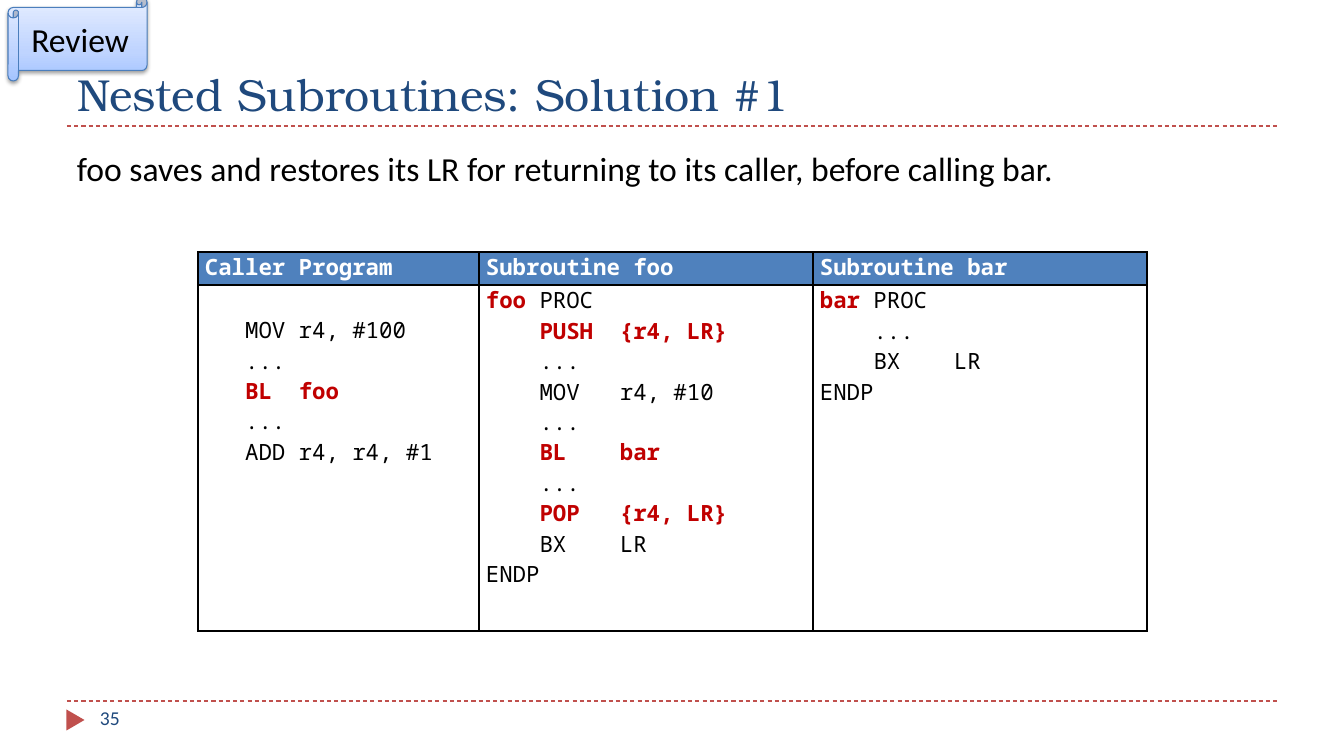
from lxml import etree
from pptx import Presentation
from pptx.dml.color import RGBColor
from pptx.enum.dml import MSO_LINE
from pptx.enum.shapes import MSO_CONNECTOR, MSO_SHAPE
from pptx.enum.text import MSO_ANCHOR, MSO_AUTO_SIZE, PP_ALIGN
from pptx.oxml import parse_xml
from pptx.oxml.ns import qn
from pptx.util import Emu, Pt

DASH = MSO_LINE.DASH
STRAIGHT = MSO_CONNECTOR.STRAIGHT
TRIANGLE, SCROLL = MSO_SHAPE.ISOSCELES_TRIANGLE, MSO_SHAPE.HORIZONTAL_SCROLL
TOP, MIDDLE, BOTTOM = MSO_ANCHOR.TOP, MSO_ANCHOR.MIDDLE, MSO_ANCHOR.BOTTOM
NO_AUTOFIT = MSO_AUTO_SIZE.NONE
LEFT, CENTER, JUSTIFY = PP_ALIGN.LEFT, PP_ALIGN.CENTER, PP_ALIGN.JUSTIFY

BLACK = RGBColor(0x00, 0x00, 0x00)
WHITE = RGBColor(0xFF, 0xFF, 0xFF)
NAVY = RGBColor(0x1F, 0x49, 0x7D)
BLUE = RGBColor(0x4F, 0x81, 0xBD)
SCROLL_EDGE = RGBColor(0x4B, 0x7E, 0xBC)
ACCENT = RGBColor(0xC0, 0x50, 0x4D)
CODE_RED = RGBColor(0xC0, 0x00, 0x00)

SERIF, SANS, MONO = "TeX Gyre Bonum", "Calibri", "Noto Sans Mono"
DRAWING = 'xmlns:a="http://schemas.openxmlformats.org/drawingml/2006/main"'


def px(length):
    return Emu(round(length * 914400 / 100.8))


def add_run(paragraph, text, size, font, color, bold=False):
    run = paragraph.add_run()
    run.text = text
    run.font.size = Pt(size)
    run.font.name = font
    run.font.bold = bold
    run.font.color.rgb = color


presentation = Presentation()
presentation.slide_width = px(1344)
presentation.slide_height = px(756)
slide = presentation.slides.add_slide(presentation.slide_layouts[5])
shapes = slide.shapes

for y in (701, 126):
    rule = shapes.add_connector(STRAIGHT, px(67), px(y), px(1277), px(y))
    rule.line.color.rgb = ACCENT
    rule.line.width = Pt(0.75)
    rule.line.dash_style = DASH
    etree.SubElement(rule._element.spPr, qn("a:effectLst"))

marker = shapes.add_shape(TRIANGLE, px(65), px(711), px(21), px(18))
marker.rotation = 90
marker.shadow.inherit = False
marker.fill.solid()
marker.fill.fore_color.rgb = ACCENT
marker.line.fill.background()

title = shapes.title
title.left, title.top, title.width, title.height = px(67), px(17), px(1210), px(109)
title.text_frame.auto_size = NO_AUTOFIT
title.text_frame.vertical_anchor = BOTTOM
title.text_frame.paragraphs[0].alignment = LEFT
add_run(title.text_frame.paragraphs[0], "Nested Subroutines: Solution #1", 32, SERIF, NAVY)

text_boxes = [
    (67, 143, 1045, 92, "foo saves and restores its LR for returning to its caller, before calling bar.", 24, BLACK),
    (90, 701, 291, 40, "35", 14, NAVY),
]
for left, top, width, height, text, size, color in text_boxes:
    box = shapes.add_textbox(px(left), px(top), px(width), px(height))
    box.text_frame.word_wrap = True
    box.text_frame.vertical_anchor = TOP
    add_run(box.text_frame.paragraphs[0], text, size, SANS, color)

# Segments between bars are highlighted in red.
columns = [
    ("Caller Program", 281, 30, [
        "   MOV r4, #100",
        "   ...",
        "   |BL  foo|",
        "   ...",
        "   ADD r4, r4, #1",
    ]),
    ("Subroutine foo", 334, 0, [
        "|foo| PROC",
        "    |PUSH  {r4, LR}|",
        "    ...",
        "    MOV   r4, #10",
        "    ...",
        "    |BL    bar|",
        "    ...",
        "    |POP   {r4, LR}|",
        "    BX    LR",
        "ENDP",
    ]),
    ("Subroutine bar", 334, 0, [
        "|bar| PROC",
        "    ...",
        "    BX    LR",
        "ENDP",
    ]),
]
table_width = sum(column[1] for column in columns)
table = shapes.add_table(2, 3, px(198), px(252), px(table_width), px(379)).table
table.rows[0].height = px(33)
table.rows[1].height = px(346)

for index, (heading, width, code_top, code) in enumerate(columns):
    table.columns[index].width = px(width)
    for row in range(2):
        cell = table.cell(row, index)
        cell.margin_left = cell.margin_right = px(7)
        cell.margin_top = px(code_top if row else 0)
        cell.margin_bottom = 0
        cell.vertical_anchor = TOP
        properties = cell._tc.get_or_add_tcPr()
        for side in ("lnL", "lnR", "lnT", "lnB"):
            properties.append(parse_xml(
                f'<a:{side} {DRAWING} w="12700"><a:solidFill>'
                f'<a:srgbClr val="{BLACK}"/></a:solidFill></a:{side}>'))
        if row == 0:
            cell.fill.solid()
            cell.fill.fore_color.rgb = BLUE
        else:
            cell.fill.background()

    heading_paragraph = table.cell(0, index).text_frame.paragraphs[0]
    heading_paragraph.alignment = JUSTIFY
    add_run(heading_paragraph, heading, 16, MONO, WHITE, True)

    code_frame = table.cell(1, index).text_frame
    for number, line in enumerate(code):
        paragraph = code_frame.add_paragraph() if number else code_frame.paragraphs[0]
        paragraph.alignment = JUSTIFY
        for position, segment in enumerate(line.split("|")):
            highlighted = position % 2 == 1
            if segment:
                add_run(paragraph, segment, 16, MONO, CODE_RED if highlighted else BLACK, highlighted)

review = shapes.add_shape(SCROLL, px(8), px(-3), px(139), px(84))
review.line.color.rgb = SCROLL_EDGE
review.line.width = Pt(0.75)
stops = "".join(
    f'<a:gs pos="{position * 1000}"><a:srgbClr val="{color}"/></a:gs>'
    for position, color in ((0, "A4C4FF"), (35, "BFD4FF"), (100, "E6EEFF")))
review._element.spPr.find(qn("a:prstGeom")).addnext(parse_xml(
    f'<a:gradFill {DRAWING} rotWithShape="1"><a:gsLst>{stops}</a:gsLst>'
    '<a:lin ang="16200000" scaled="1"/></a:gradFill>'))
review._element.spPr.append(parse_xml(
    f'<a:effectLst {DRAWING}><a:outerShdw blurRad="39370" dist="20320" dir="5400000" rotWithShape="0">'
    '<a:srgbClr val="000000"><a:alpha val="38000"/></a:srgbClr></a:outerShdw></a:effectLst>'))
review.text_frame.word_wrap = True
review.text_frame.vertical_anchor = MIDDLE
review.text_frame.paragraphs[0].alignment = CENTER
add_run(review.text_frame.paragraphs[0], "Review", 24, SANS, BLACK)

presentation.save("out.pptx")
